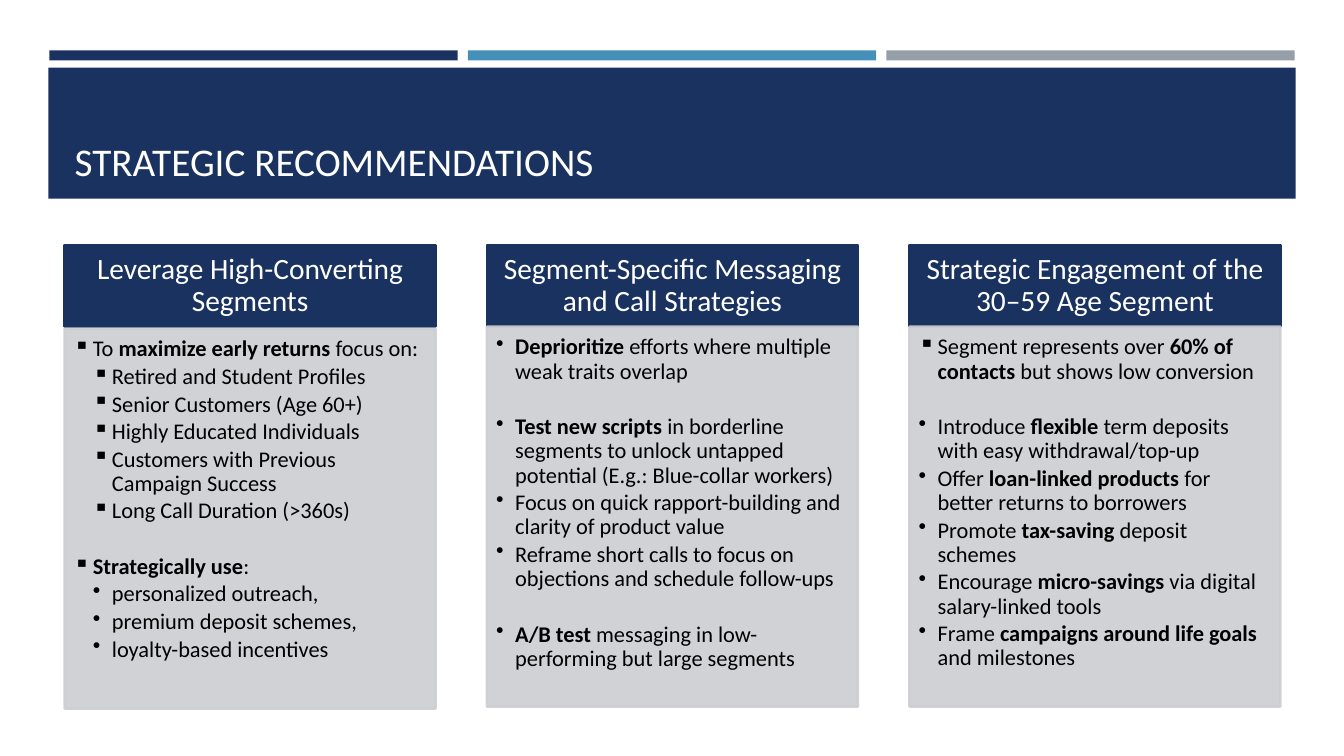
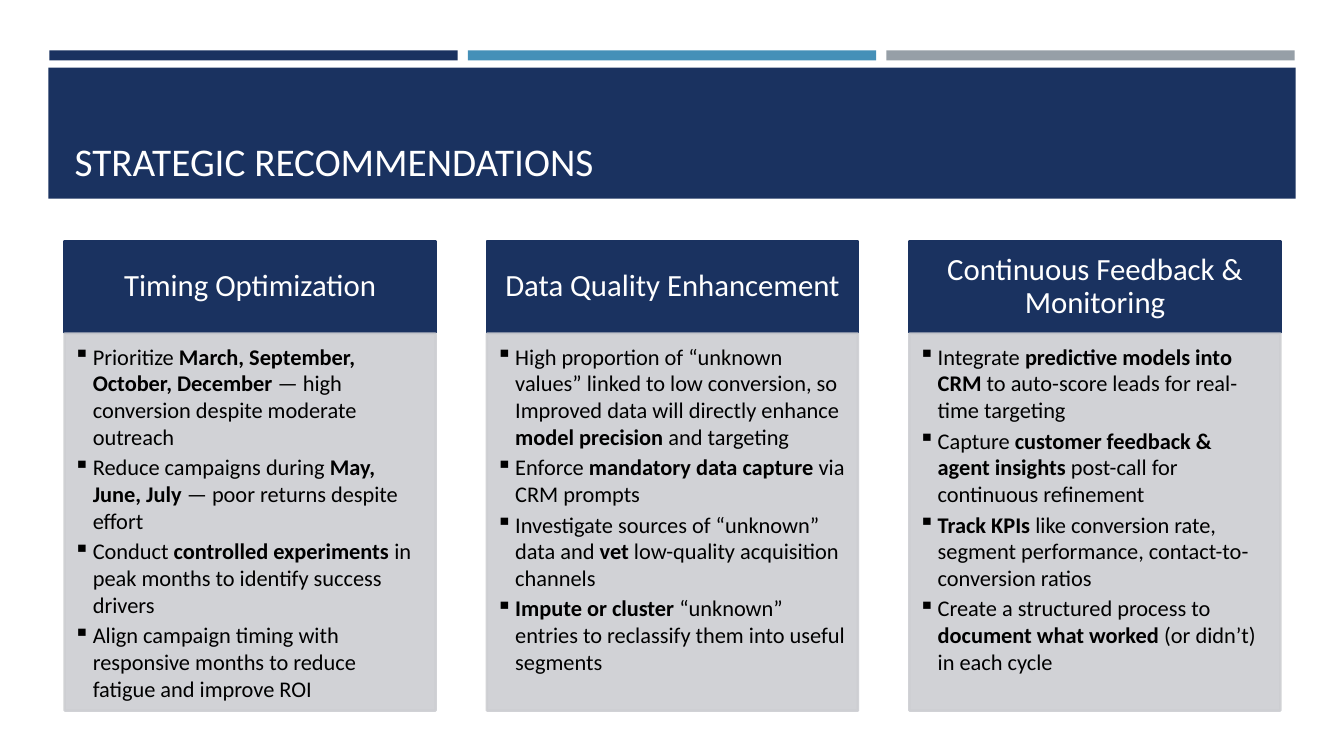
from dataclasses import dataclass

from lxml import etree
from pptx import Presentation
from pptx.dml.color import RGBColor
from pptx.enum.shapes import MSO_SHAPE
from pptx.enum.text import MSO_ANCHOR, PP_ALIGN
from pptx.oxml.ns import qn
from pptx.util import Emu, Pt

RECT = MSO_SHAPE.RECTANGLE
TOP, MIDDLE, BOTTOM = MSO_ANCHOR.TOP, MSO_ANCHOR.MIDDLE, MSO_ANCHOR.BOTTOM
LEFT, CENTER = PP_ALIGN.LEFT, PP_ALIGN.CENTER
SCALE = 9144
SQUARE, DOT = "▪", "•"
TITLE = "STRATEGIC RECOMMENDATIONS"


@dataclass(frozen=True)
class Theme:
    navy: RGBColor = RGBColor(0x1A, 0x32, 0x60)
    blue: RGBColor = RGBColor(0x45, 0x90, 0xB8)
    gray: RGBColor = RGBColor(0x96, 0x9F, 0xA7)
    pale: RGBColor = RGBColor(0xCD, 0xCE, 0xD2)
    white: RGBColor = RGBColor(0xFF, 0xFF, 0xFF)
    black: RGBColor = RGBColor(0, 0, 0)
    font: str = "Calibri"
    title: float = 28
    head: float = 22
    tight: float = 21
    body: float = 16
    after: float = 2.4
    gap: float = 20
    edge: float = 1.75
    alpha: int = 90000


THEME = Theme()


@dataclass(frozen=True)
class Box:
    left: int
    top: int
    width: int
    height: int


@dataclass(frozen=True)
class Item:
    text: str
    mark: str = SQUARE
    depth: int = 1
    gap: bool = False


@dataclass(frozen=True)
class Card:
    head: str
    items: tuple[Item, ...]
    drop: int = 0


@dataclass(frozen=True)
class Board:
    top: int
    head: int
    base: int
    body: int
    size: float
    inset: tuple[int, int, int, int]
    lead: float
    cards: tuple[Card, ...]


BOARDS = (
    Board(243, 81, 324, 377, THEME.tight, (16, 9, 16, 9), 0.9, (
        Card("Leverage High-Converting Segments", (
            Item("To **maximize early returns** focus on:"),
            Item("Retired and Student Profiles", depth=2),
            Item("Senior Customers (Age 60+)", depth=2),
            Item("Highly Educated Individuals", depth=2),
            Item("Customers with Previous Campaign Success", depth=2),
            Item("Long Call Duration (>360s)", depth=2),
            Item("**Strategically use**:", gap=True),
            Item("personalized outreach,", DOT, 2),
            Item("premium deposit schemes,", DOT, 2),
            Item("loyalty-based incentives", DOT, 2),
        ), drop=2),
        Card("Segment-Specific Messaging and Call Strategies", (
            Item("**Deprioritize** efforts where multiple weak traits overlap", DOT),
            Item("**Test new scripts **in borderline segments to unlock untapped "
                 "potential (E.g.: Blue-collar workers)", DOT, gap=True),
            Item("Focus on quick rapport-building and clarity of product value", DOT),
            Item("Reframe short calls to focus on objections and schedule "
                 "follow-ups", DOT),
            Item("**A/B test** messaging in low-performing but large segments",
                 DOT, gap=True),
        )),
        Card("Strategic Engagement of the 30–59 Age Segment", (
            Item("Segment represents over **60% of contacts** but shows low "
                 "conversion"),
            Item("Introduce **flexible** term deposits with easy "
                 "withdrawal/top-up", DOT, gap=True),
            Item("Offer **loan-linked products **for better returns to borrowers", DOT),
            Item("Promote **tax-saving **deposit schemes", DOT),
            Item("Encourage **micro-savings** via digital salary-linked tools", DOT),
            Item("Frame **campaigns around life goals **and milestones", DOT),
        )),
    )),
    Board(239, 91, 331, 374, THEME.head, (17, 10, 17, 10), 1.0, (
        Card("Timing Optimization", (
            Item("Prioritize **March, September, October, December** — high "
                 "conversion despite moderate outreach"),
            Item("Reduce campaigns during **May, June, July** — poor returns "
                 "despite effort"),
            Item("Conduct **controlled experiments** in peak months to identify "
                 "success drivers"),
            Item("Align campaign timing with responsive months to reduce fatigue "
                 "and improve ROI"),
        )),
        Card("Data Quality Enhancement", (
            Item("High proportion of “unknown values” linked to low conversion, so "
                 "Improved data will directly enhance **model precision** and "
                 "targeting"),
            Item("Enforce **mandatory data capture** via CRM prompts"),
            Item("Investigate sources of “unknown” data and **vet** low-quality "
                 "acquisition channels"),
            Item("**Impute or cluster** “unknown” entries to reclassify them into "
                 "useful segments"),
        )),
        Card("Continuous Feedback & Monitoring", (
            Item("Integrate **predictive models into CRM** to auto-score leads for "
                 "real-time targeting"),
            Item("Capture **customer feedback & agent insights** post-call for "
                 "continuous refinement"),
            Item("**Track KPIs **like conversion rate, segment performance, "
                 "contact-to-conversion ratios"),
            Item("Create a structured process to **document what worked **(or "
                 "didn’t) in each cycle"),
        )),
    )),
)


def px(count: int) -> Emu:
    return Emu(count * SCALE)


def draw_rect(slide, box: Box, color: RGBColor, edge: bool = False):
    shape = slide.shapes.add_shape(
        RECT, px(box.left), px(box.top), px(box.width), px(box.height))
    shape.shadow.inherit = False
    shape.fill.solid()
    shape.fill.fore_color.rgb = color
    if edge:
        shape.line.color.rgb = color
        shape.line.width = Pt(THEME.edge)
    else:
        shape.line.fill.background()
    return shape


def set_frame(shape, inset: tuple[int, int, int, int], anchor: MSO_ANCHOR):
    frame = shape.text_frame
    frame.word_wrap = True
    frame.vertical_anchor = anchor
    (frame.margin_left, frame.margin_top,
     frame.margin_right, frame.margin_bottom) = map(px, inset)
    return frame


def style_run(run, size: float, color: RGBColor, bold: bool = False) -> None:
    run.font.name = THEME.font
    run.font.size = Pt(size)
    run.font.color.rgb = color
    run.font.bold = bold


def set_label(frame, text: str, size: float, align: PP_ALIGN, lead: float) -> None:
    frame.text = text
    para = frame.paragraphs[0]
    para.alignment = align
    para.line_spacing = lead
    style_run(para.runs[0], size, THEME.white)


def fill_item(para, item: Item, lead: float) -> None:
    para.alignment = LEFT
    para.level = item.depth
    para.line_spacing = lead
    para.space_before = Pt(THEME.gap if item.gap else 0)
    para.space_after = Pt(THEME.after)
    props = para._p.get_or_add_pPr()
    props.set("marL", str(px(19 * item.depth)))
    props.set("indent", str(px(-19)))
    etree.SubElement(props, qn("a:buChar")).set("char", item.mark)
    for index, part in enumerate(item.text.split("**")):
        if part:
            run = para.add_run()
            run.text = part
            style_run(run, THEME.body, THEME.black, index % 2 == 1)


def draw_card(slide, board: Board, card: Card, left: int) -> None:
    head = draw_rect(slide, Box(left, board.top, 368, board.head), THEME.navy, True)
    set_label(set_frame(head, board.inset, MIDDLE), card.head, board.size, CENTER, 0.9)
    body = draw_rect(
        slide, Box(left, board.base + card.drop, 368, board.body), THEME.pale, True)
    for color in body.element.spPr.iter(qn("a:srgbClr")):
        etree.SubElement(color, qn("a:alpha")).set("val", str(THEME.alpha))
    frame = set_frame(body, (9, 9, 12, 14), TOP)
    for index, item in enumerate(card.items):
        para = frame.add_paragraph() if index else frame.paragraphs[0]
        fill_item(para, item, board.lead)


def draw_top(slide) -> None:
    for index, color in enumerate((THEME.navy, THEME.blue, THEME.gray)):
        draw_rect(slide, Box(49 + 415 * index, 50, 405, 10), color)
    band = draw_rect(slide, Box(48, 67, 1237, 130), THEME.navy)
    set_label(set_frame(band, (26, 5, 25, 14), BOTTOM), TITLE, THEME.title, LEFT, 1.0)


def main() -> None:
    deck = Presentation()
    deck.slide_width, deck.slide_height = px(1333), px(750)
    for board in BOARDS:
        slide = deck.slides.add_slide(deck.slide_layouts[6])
        draw_top(slide)
        for index, card in enumerate(board.cards):
            draw_card(slide, board, card, 64 + 419 * index)
    deck.save("out.pptx")


if __name__ == "__main__":
    main()
